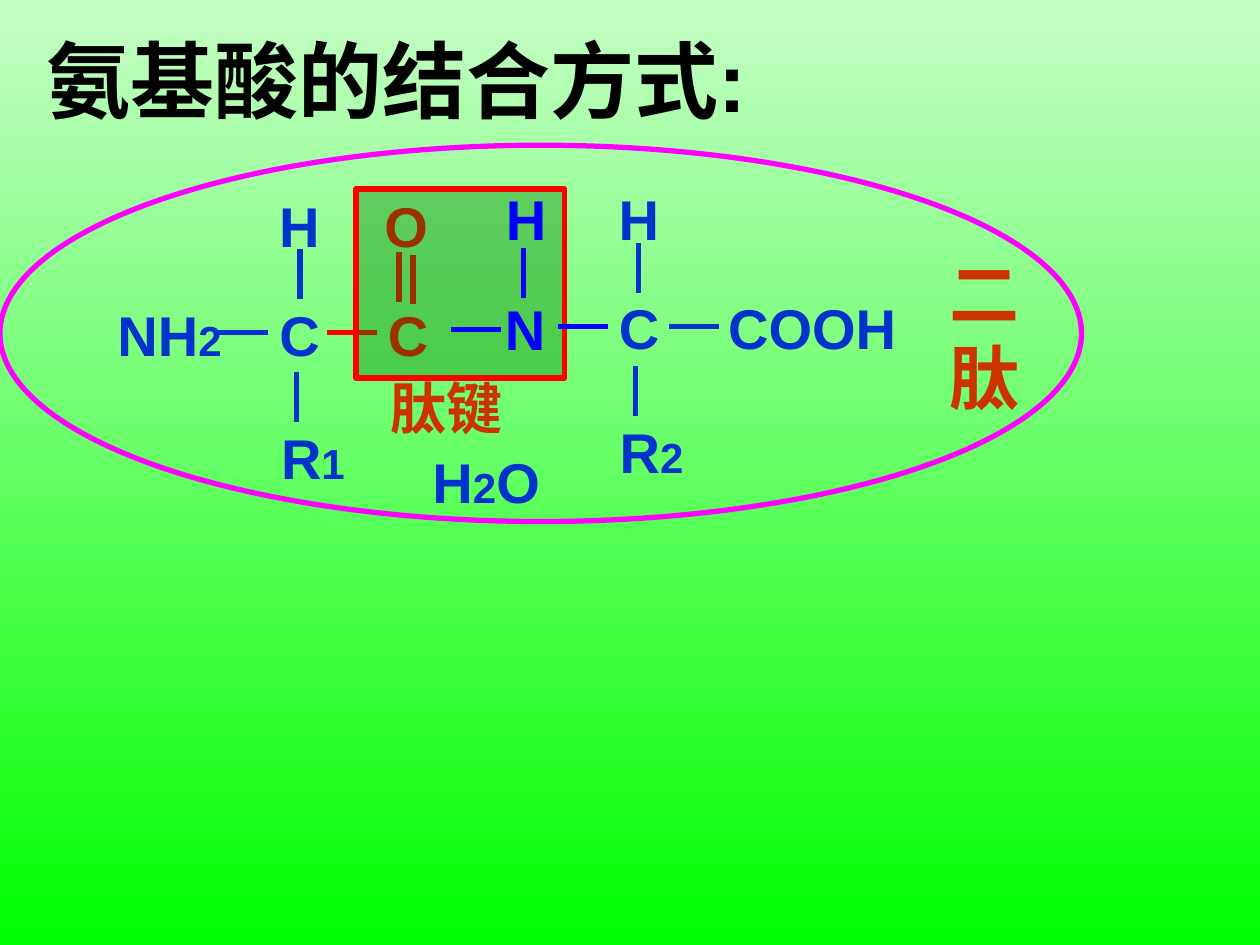
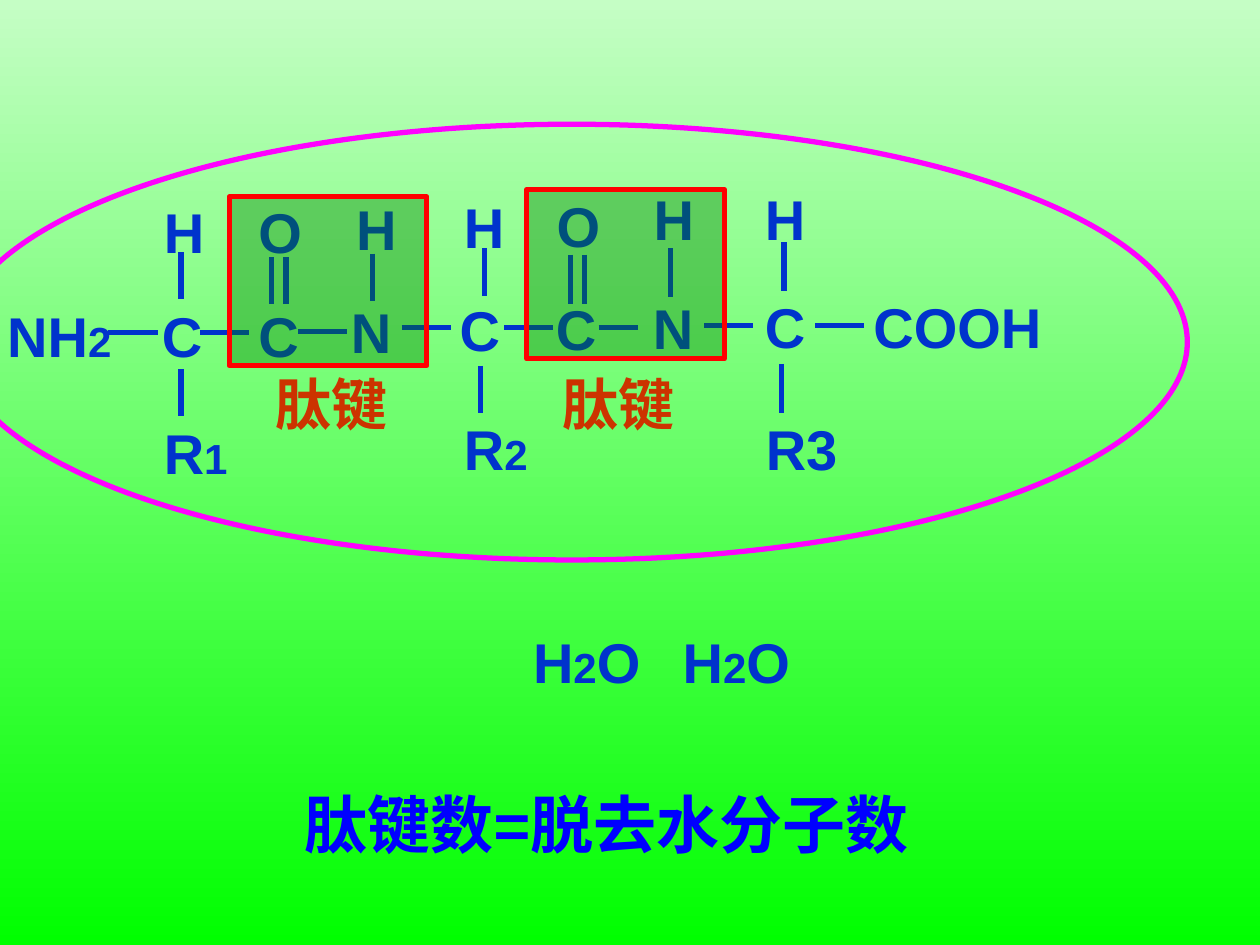
"""Build two slides on how amino acids join into a dipeptide and a tripeptide."""
from lxml import etree
from pptx import Presentation
from pptx.dml.color import RGBColor
from pptx.enum.shapes import MSO_CONNECTOR, MSO_SHAPE
from pptx.enum.text import MSO_ANCHOR, MSO_AUTO_SIZE, PP_ALIGN
from pptx.oxml.ns import qn
from pptx.util import Pt

LINE = MSO_CONNECTOR.STRAIGHT
RECT, OVAL = MSO_SHAPE.RECTANGLE, MSO_SHAPE.OVAL
LEFT, MIDDLE = PP_ALIGN.LEFT, MSO_ANCHOR.MIDDLE
GROW, FIXED = MSO_AUTO_SIZE.SHAPE_TO_FIT_TEXT, MSO_AUTO_SIZE.NONE

NAVY, BLUE, RED, RUST = "0033CC", "0000FF", "FF0000", "CC3300"
PINK, GREEN, BLACK = "FF00FF", "008000", "000000"
SKY = ("C5FEC5", "00FF00")
FACE = {"name": "Arial", "bold": True}
THICK = Pt(3)
SMALL = 24
rgb = RGBColor.from_string


def style(font, size, ink):
    """Give a font the shared face with its size and colour."""
    for key, val in {**FACE, "size": Pt(size)}.items():
        setattr(font, key, val)
    font.color.rgb = rgb(ink)


def label(slide, text, x, y, width, ink=NAVY, size=32, height=46):
    """Add a text box; parts between bars are set small."""
    box = slide.shapes.add_textbox(Pt(x), Pt(y), Pt(width), Pt(height))
    frame = box.text_frame
    frame.word_wrap, frame.auto_size = True, GROW
    for i, part in enumerate(text.split("|")):
        if part:
            run = frame.paragraphs[0].add_run()
            run.text = part
            style(run.font, SMALL if i % 2 else size, ink)


# Each stage holds labels, bonds (x, y, dx, dy, ink) and frames, back to front.
DIMER = [
    (
        [
            ("C", 152.5, 168, 40),
            ("H", 152.5, 106, 45),
            ("R|1", 153.5, 238.5, 63),
            ("NH|2", 60, 168, 85),
            ("C", 214.5, 168, 40, RED),
            ("O", 212.5, 106, 40, RED),
        ],
        [
            (124.5, 190, 28.5, 0, NAVY),
            (187, 190, 28.5, 0, RED),
            (169.5, 212.5, 0, 28.5, NAVY),
            (171.5, 142.5, 0, 28.5, NAVY),
            (228, 144, 0, 28.5, RED),
            (236, 145.5, 0, 28.5, RED),
        ],
        [(RECT, 203.5, 108, 119, 108)],
    ),
    (
        [
            ("C", 346.5, 164, 40),
            ("H", 346.5, 102, 45),
            ("COOH", 409, 164, 113),
            ("R|2", 347, 235, 79),
            ("H", 282, 102, 45, BLUE),
            ("N", 281.5, 165, 45, BLUE),
            ("H|2|O", 240, 252, 85),
            ("二肽", 535.5, 139.5, 73.5, RUST, 40, 104),
            ("肽键", 216, 210, 85, RUST),
        ],
        [
            (319, 186.5, 28.5, 0, BLUE),
            (382.5, 186.5, 28.5, 0, NAVY),
            (363, 209, 0, 28.5, NAVY),
            (365, 139, 0, 28.5, NAVY),
            (258, 188.5, 28.5, 0, BLUE),
            (299, 142, 0, 28.5, BLUE),
        ],
        [(OVAL, 0, 83, 618, 215)],
    ),
]
TRIMER = [
    (
        [
            ("C", 310.5, 165, 38),
            ("C", 85.5, 168.5, 39),
            ("H", 86.5, 109.5, 45),
            ("R|1", 86.5, 235.5, 61),
            ("NH|2", -3, 168.5, 83.5),
            ("C", 140.5, 168.5, 39),
            ("O", 140.5, 109.5, 40),
            ("C", 255.5, 165.5, 40),
            ("H", 258, 106.5, 45),
            ("R|2", 258, 233.5, 78.5),
            ("H", 196.5, 107.5, 45),
            ("N", 193.5, 166.5, 45),
            ("O", 311, 106, 45),
        ],
        [
            (62, 190, 28, 0, NAVY),
            (114.5, 190, 28, 0, NAVY),
            (103.5, 211, 0, 27, NAVY),
            (103.5, 144, 0, 27, NAVY),
            (163.5, 147, 0, 27, NAVY),
            (155, 147, 0, 27, NAVY),
            (229.5, 187, 28, 0, NAVY),
            (288, 187, 28, 0, NAVY),
            (274.5, 209, 0, 27, NAVY),
            (277, 142, 0, 27, NAVY),
            (170.5, 189.5, 28, 0, NAVY),
            (213, 145, 0, 27, NAVY),
            (334, 145.5, 0, 28, NAVY),
            (326, 145.5, 0, 28, NAVY),
            (342, 187, 22.5, 0, NAVY),
        ],
        [(RECT, 131, 112.5, 113, 96.5)],
    ),
    (
        [
            ("肽键", 150.5, 207.5, 85, RUST),
            ("C", 430, 163.5, 40),
            ("H", 430, 102, 45),
            ("COOH", 492, 163.5, 112.5),
            ("R3", 430.5, 233.5, 78.5),
            ("H", 366.5, 102, 45),
            ("N", 366, 164, 45),
            ("H|2|O", 383, 355, 85),
            ("肽键", 314.5, 207.5, 85, RUST),
            ("H|2|O", 297.5, 355, 85),
            ("肽键数=脱去水分子数", 167, 445.5, 402, BLUE, 36, 50.5),
        ],
        [
            (402.5, 186, 28, 0, NAVY),
            (466, 186, 28, 0, NAVY),
            (446.5, 208, 0, 28, NAVY),
            (448, 138.5, 0, 28, NAVY),
            (383, 142, 0, 28, NAVY),
        ],
        [(RECT, 301, 108.5, 113, 96.5), (OVAL, -25, 71, 703.5, 249)],
    ),
]

deck = Presentation()
deck.slide_width, deck.slide_height = Pt(720), Pt(540)
fill = deck.slide_master.background.fill
fill.gradient()
fill.gradient_angle = 270
for stop, tint in zip(fill.gradient_stops, SKY):
    stop.color.rgb = rgb(tint)

for layout, heading, stages in [(5, "氨基酸的结合方式:", DIMER), (6, "", TRIMER)]:
    slide = deck.slides.add_slide(deck.slide_layouts[layout])
    if heading:
        title = slide.shapes.title
        title.left, title.top, title.width, title.height = Pt(19.5), Pt(0), Pt(436), Pt(90)
        frame = title.text_frame
        frame.text = heading
        frame.auto_size, frame.vertical_anchor = FIXED, MIDDLE
        frame.paragraphs[0].alignment = LEFT
        style(frame.paragraphs[0].runs[0].font, 48, BLACK)

    for labels, bonds, frames in stages:
        for item in labels:
            label(slide, *item)
        for x, y, dx, dy, ink in bonds:
            bond = slide.shapes.add_connector(LINE, Pt(x), Pt(y), Pt(x + dx), Pt(y + dy))
            bond.line.color.rgb = rgb(ink)
            bond.line.width = THICK
            etree.SubElement(bond.element.spPr, qn("a:effectLst"))
        for kind, *spot in frames:
            shape = slide.shapes.add_shape(kind, *map(Pt, spot))
            shape.shadow.inherit = False
            shape.line.width = THICK
            shape.line.color.rgb = rgb(RED if kind == RECT else PINK)
            if kind == RECT:
                shape.fill.solid()
                shape.fill.fore_color.rgb = rgb(GREEN)
                tint = shape.element.spPr.find(qn("a:solidFill") + "/" + qn("a:srgbClr"))
                etree.SubElement(tint, qn("a:alpha"), val="39000")
            else:
                shape.fill.background()

deck.save("out.pptx")
